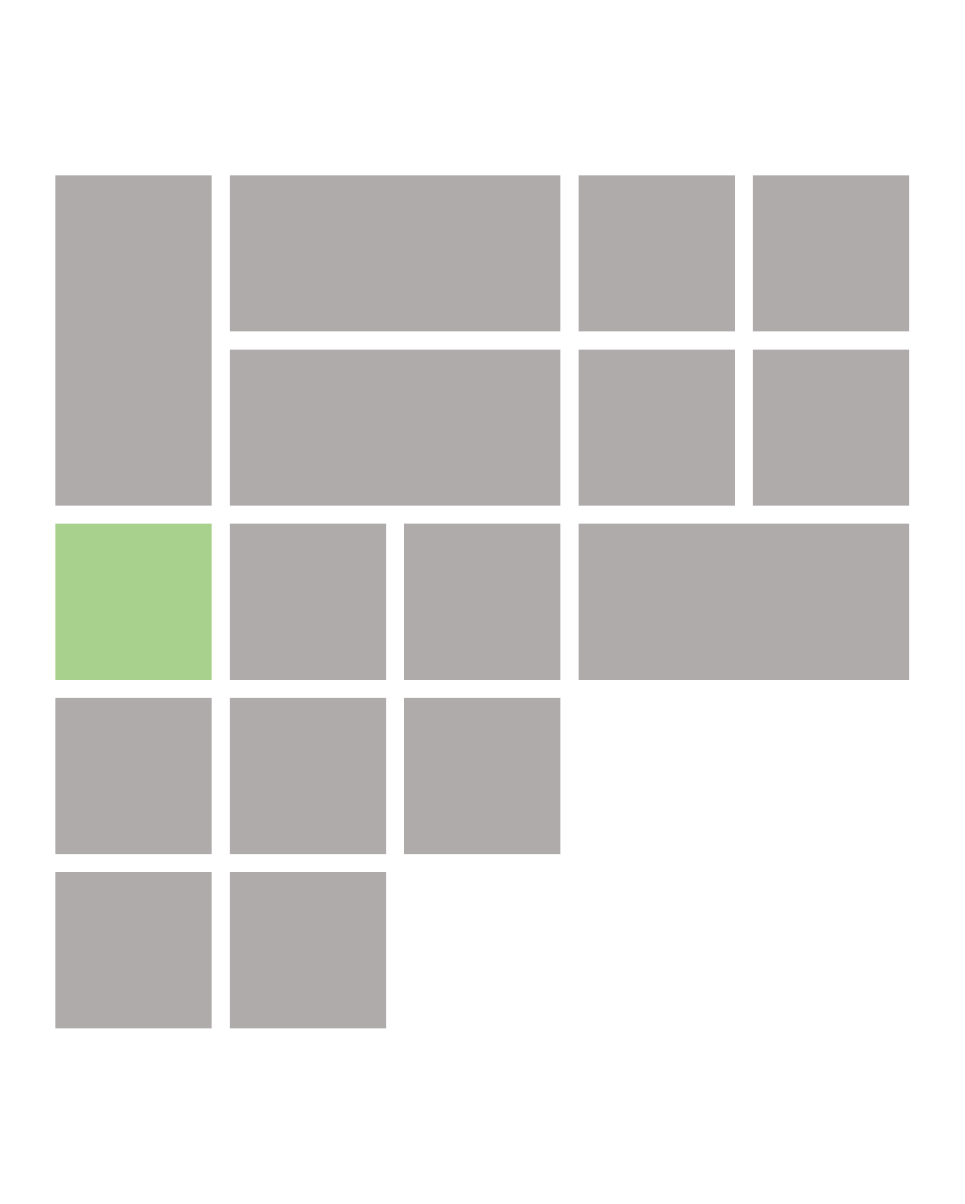
from pptx import Presentation
from pptx.dml.color import RGBColor
from pptx.enum.shapes import MSO_SHAPE
from pptx.util import Pt

GREY = RGBColor(0xAF, 0xAB, 0xAB)
GREEN = RGBColor(0xA9, 0xD1, 0x8E)

GRID_SIZE = 5
GAP = 7.5
HIGHLIGHT = (0, 2)
TILES = [
    (1, 0, 2, 1), (3, 0, 1, 1), (4, 0, 1, 1), (0, 0, 1, 2),
    (1, 1, 2, 1), (3, 1, 1, 1), (4, 1, 1, 1),
    (0, 2, 1, 1), (1, 2, 1, 1), (2, 2, 1, 1), (3, 2, 2, 1),
    (0, 3, 1, 1), (1, 3, 1, 1), (2, 3, 1, 1),
    (0, 4, 1, 1), (1, 4, 1, 1),
]


def add_tile_grid(slide, left, top, width, height):
    """Lay the tiles (column, row, column span, row span) out on an even grid in the box."""
    step_x = (width + GAP) / GRID_SIZE
    step_y = (height + GAP) / GRID_SIZE
    for col, row, col_span, row_span in TILES:
        sp = slide.shapes.add_shape(
            MSO_SHAPE.RECTANGLE,
            Pt(left + col * step_x), Pt(top + row * step_y),
            Pt(col_span * step_x - GAP), Pt(row_span * step_y - GAP))
        sp.shadow.inherit = False
        sp.fill.solid()
        sp.fill.fore_color.rgb = GREEN if (col, row) == HIGHLIGHT else GREY
        sp.line.fill.background()


def main():
    """Build the slide and save it."""
    prs = Presentation()
    prs.slide_width, prs.slide_height = Pt(400.32), Pt(499.68)
    slide = prs.slides.add_slide(prs.slide_layouts[6])
    add_tile_grid(slide, 23, 72.8, 354.2, 354)
    prs.save("out.pptx")


if __name__ == "__main__":
    main()
